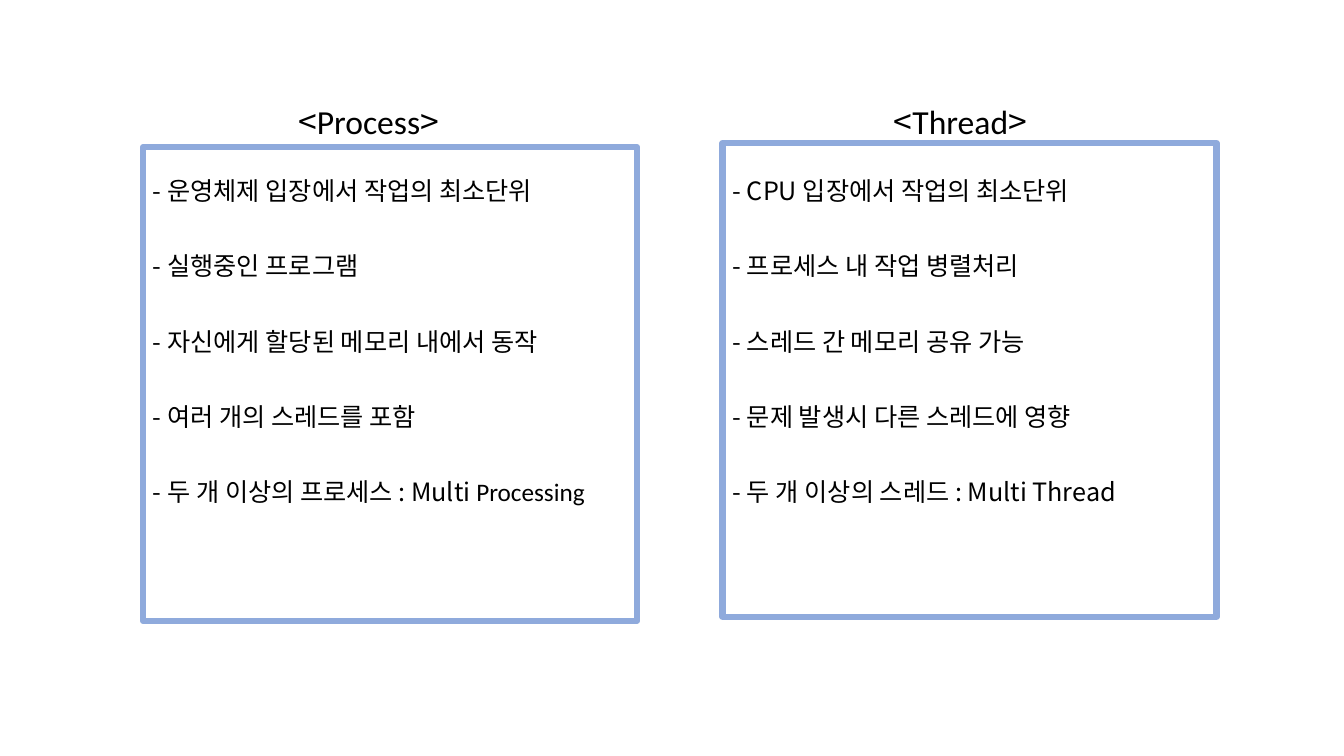
import dataclasses

import pptx
import pptx.dml.color
import pptx.enum.shapes
import pptx.enum.text
import pptx.oxml
import pptx.oxml.ns
import pptx.util

Pt = pptx.util.Pt


@dataclasses.dataclass(frozen=True)
class Theme:
    text: pptx.dml.color.RGBColor
    frame: pptx.dml.color.RGBColor
    korean: str = "Noto Sans CJK KR"
    latin: str = "Calibri"
    heading_size: int = 24
    item_size: int = 18


THEME = Theme(
    text=pptx.dml.color.RGBColor(0x00, 0x00, 0x00),
    frame=pptx.dml.color.RGBColor(0x8F, 0xAA, 0xDC),
)

PANEL_WIDTH, PANEL_HEIGHT = 352.8, 338.4
HEADING_TOP, HEADING_HEIGHT = 68.4, 36
FIRST_ITEM_TOP, ITEM_PITCH, ITEM_HEIGHT = 121.5, 53.85, 29

PROCESS_ITEMS = [
    (320.4, [("- 운영체제 입장에서 작업의 최소단위", THEME.korean)]),
    (180, [("- 실행중인 프로그램", THEME.korean)]),
    (326.9, [("- 자신에게 할당된 메모리 내에서 동작", THEME.korean)]),
    (229.7, [("- 여러 개의 스레드를 포함", THEME.korean)]),
    (352.8, [("- 두 개 이상의 프로세스 : Multi", THEME.korean),
             (" Processing", THEME.latin)]),
]
THREAD_ITEMS = [
    (282.2, [("- CPU 입장에서 작업의 최소단위", THEME.korean)]),
    (247.7, [("- 프로세스 내 작업 병렬처리", THEME.korean)]),
    (254.2, [("- 스레드 간 메모리 공유 가능", THEME.korean)]),
    (290.2, [("- 문제 발생시 다른 스레드에 영향", THEME.korean)]),
    (315.4, [("- 두 개 이상의 스레드 : Multi Thread", THEME.korean)]),
]


def add_frame(page, left, top):
    frame = page.shapes.add_shape(
        pptx.enum.shapes.MSO_SHAPE.RECTANGLE,
        Pt(left), Pt(top), Pt(PANEL_WIDTH), Pt(PANEL_HEIGHT))
    frame.shadow.inherit = False
    frame.fill.background()
    frame.line.color.rgb = THEME.frame
    frame.line.width = Pt(4.5)


def add_line_of_text(page, left, top, width, height, size, spans):
    box = page.shapes.add_textbox(Pt(left), Pt(top), Pt(width), Pt(height))
    box.text_frame.word_wrap = False
    box.text_frame.auto_size = pptx.enum.text.MSO_AUTO_SIZE.SHAPE_TO_FIT_TEXT
    para = box.text_frame.paragraphs[0]
    para.font.size = Pt(size)
    para.font.color.rgb = THEME.text
    for text, typeface in spans:
        span = para.add_run()
        span.text = text
        span.font.size = Pt(size)
        span.font.color.rgb = THEME.text
        span.font.name = typeface
        east_asian = pptx.oxml.parse_xml(
            f'<a:ea {pptx.oxml.ns.nsdecls("a")} typeface="{THEME.korean}"/>')
        span.font._element.append(east_asian)


def add_panel(page, left, top, heading, heading_left, heading_width, items):
    add_frame(page, left, top)
    add_line_of_text(
        page, heading_left, HEADING_TOP, heading_width, HEADING_HEIGHT,
        THEME.heading_size,
        [("<", THEME.korean), (heading, THEME.latin), (">", THEME.korean)])
    for row, (width, spans) in enumerate(items):
        add_line_of_text(
            page, left, FIRST_ITEM_TOP + row * ITEM_PITCH, width, ITEM_HEIGHT,
            THEME.item_size, spans)


def main():
    deck = pptx.Presentation()
    deck.slide_width, deck.slide_height = Pt(960), Pt(540)
    page = deck.slides.add_slide(deck.slide_layouts[6])
    add_panel(page, 102.2, 105.1, "Process", 205.9, 123.1, PROCESS_ITEMS)
    add_panel(page, 516.2, 102.2, "Thread", 631.4, 118.1, THREAD_ITEMS)
    deck.save("out.pptx")


if __name__ == "__main__":
    main()
